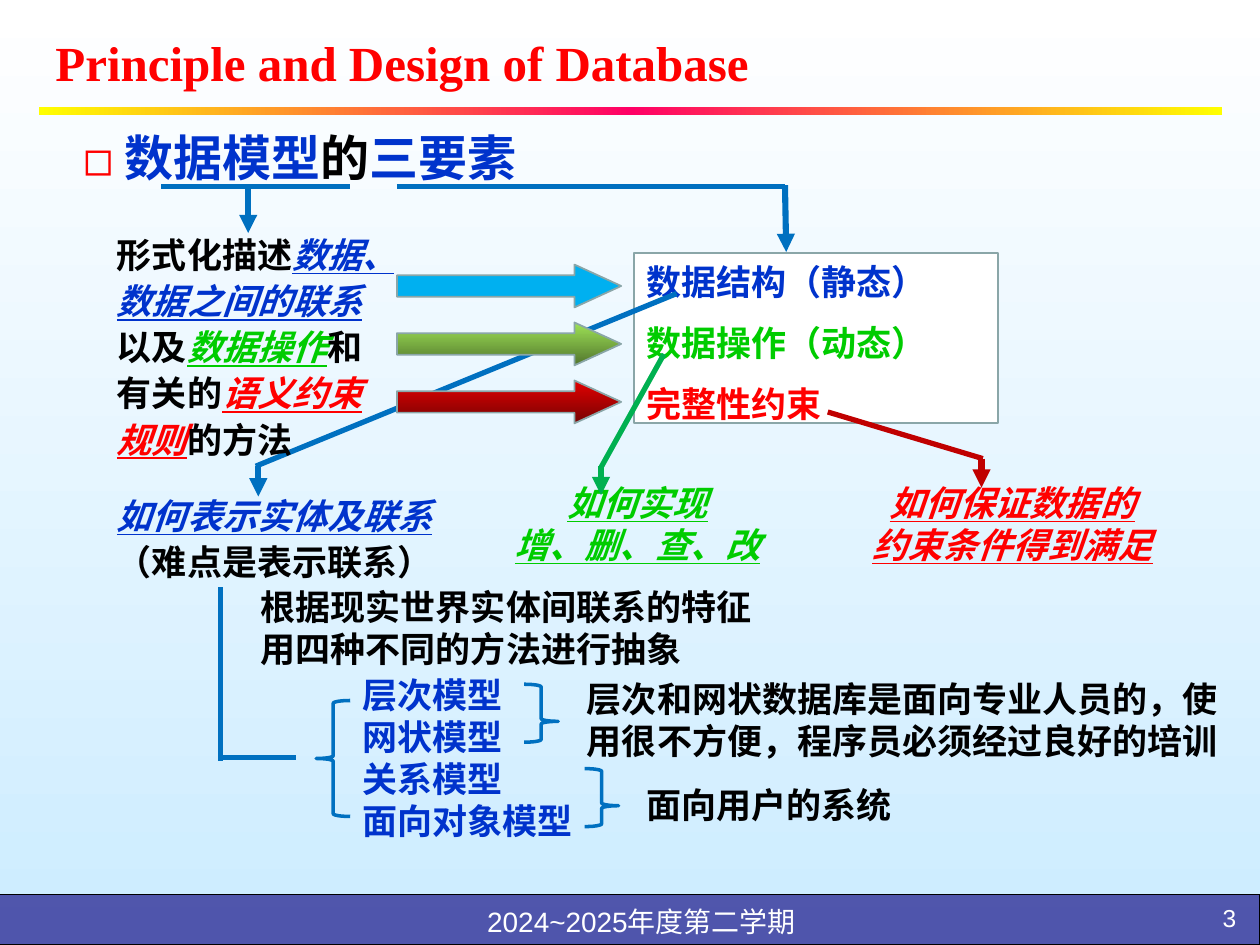
import copy

import pptx
import pptx.dml.color
import pptx.enum.shapes
import pptx.enum.text
import pptx.oxml
import pptx.oxml.ns
import pptx.util

PX = 9144  # 100 px to the inch
CJK = "Noto Sans CJK SC"
COLOURS = {
    "black": "000000", "white": "FFFFFF", "blue": "0033CC", "green": "00CC00",
    "red": "FF0000", "sky": "CCECFF", "navy": "333399", "yellow": "FFFF00",
    "pink": "FF0066", "outline": "8AA6A8", "line blue": "0070C0",
    "line green": "00B050", "line red": "C00000", "cyan": "00B0F0",
    "lime": "9EE256", "olive": "52762D", "scarlet": "E30000", "maroon": "760303",
}
RGB = {name: pptx.dml.color.RGBColor.from_string(c) for name, c in COLOURS.items()}
SHAPE = pptx.enum.shapes.MSO_SHAPE
ALIGN = pptx.enum.text.PP_ALIGN
ANCHOR = pptx.enum.text.MSO_ANCHOR
qn = pptx.oxml.ns.qn

prs = pptx.Presentation()
prs.slide_width, prs.slide_height = 1000 * PX, 750 * PX
s = prs.slides.add_slide(prs.slide_layouts[1])


def write(box, paragraphs, shape=None, size=20, font="Arial", bold=True,
          align=ALIGN.LEFT, spacing=1.0, before=0, anchor=ANCHOR.TOP):
    """Place a shape (a new text box by default) and fill it with (text, colour, emphasis) runs."""
    shape = shape or s.shapes.add_textbox(0, 0, 0, 0)
    shape.left, shape.top, shape.width, shape.height = (v * PX for v in box)
    tf = shape.text_frame
    tf.word_wrap = True
    tf.auto_size = pptx.enum.text.MSO_AUTO_SIZE.NONE
    tf.vertical_anchor = anchor
    for i, runs in enumerate(paragraphs):
        p = tf.add_paragraph() if i else tf.paragraphs[0]
        p.alignment = align
        p.line_spacing = spacing
        p.space_before = pptx.util.Pt(before if i else 0)
        for text, colour, *emphasis in runs:
            r = p.add_run()
            r.text = text
            r.font.size = pptx.util.Pt(size)
            r.font.bold = bold
            r.font.name = font
            r.font.color.rgb = RGB[colour]
            if emphasis:
                r.font.italic = r.font.underline = True
            ea = pptx.oxml.parse_xml(f'<a:ea {pptx.oxml.ns.nsdecls("a")} typeface="{CJK}"/>')
            r.font.fill  # colour is already set, so the font elements come last
            r._r.rPr.find(qn("a:latin")).addnext(ea)
    return shape


def set_gradient(fill, first, last, angle):
    fill.gradient()
    fill.gradient_angle = angle
    for stop, colour, position in zip(fill.gradient_stops, (first, last), (0, 1)):
        stop.color.rgb = RGB[colour]
        stop.position = position


set_gradient(s.background.fill, "white", "sky", 270)

# Title, rule and footer
write((34, 19, 791, 61), [[("Principle and Design of Database", "red")]], s.shapes.title,
      size=28, font="Times New Roman", anchor=ANCHOR.MIDDLE)

rule = s.shapes.add_shape(SHAPE.RECTANGLE, 31 * PX, 85 * PX, 939 * PX, 6 * PX)
rule.shadow.inherit = False
rule.line.fill.background()
set_gradient(rule.fill, "yellow", "yellow", 0)
stops = rule.element.spPr.find(".//" + qn("a:gsLst"))
middle = copy.deepcopy(stops[0])
middle.set("pos", "50000")
middle[0].set("val", COLOURS["pink"])
stops.insert(1, middle)

band = s.shapes.add_shape(SHAPE.RECTANGLE, -1 * PX, 710 * PX, 1001 * PX, 40 * PX)
band.shadow.inherit = False
band.fill.solid()
band.fill.fore_color.rgb = RGB["navy"]
band.element.spPr.find(qn("a:solidFill"))[0].append(
    pptx.oxml.parse_xml(f'<a:alpha {pptx.oxml.ns.nsdecls("a")} val="81000"/>'))
band.line.color.rgb = RGB["black"]
band.line.width = pptx.util.Pt(0.75)
write((346, 708, 326, 42), [[("2024~2025年度第二学期", "white")]],
      size=16, bold=False, align=ALIGN.CENTER, spacing=1.2)
write((894, 712, 97, 30), [[("3", "white")]], size=14, bold=False, align=ALIGN.RIGHT)

# Heading with a square bullet
body = s.placeholders[1]
pPr = body.text_frame.paragraphs[0]._p.get_or_add_pPr()
pPr.set("marL", str(33 * PX))
pPr.set("indent", str(-33 * PX))
for xml in (f'<a:buClr %s><a:srgbClr val="{COLOURS["red"]}"/></a:buClr>',
            f'<a:buFont %s typeface="{CJK}"/>', '<a:buChar %s char="◻"/>'):
    pPr.append(pptx.oxml.parse_xml(xml % pptx.oxml.ns.nsdecls("a")))
write((56, 96, 387, 57), [[("数据模型", "blue"), ("的", "black"), ("三要素", "blue")]],
      body, size=28, font=CJK)

# The three elements
elements = s.shapes.add_shape(SHAPE.RECTANGLE, 0, 0, 0, 0)
elements.shadow.inherit = False
elements.fill.solid()
elements.fill.fore_color.rgb = RGB["white"]
elements.line.color.rgb = RGB["outline"]
elements.line.width = pptx.util.Pt(1)
write((503, 201, 289, 135),
      [[("数据结构（静态）", "blue")], [("数据操作（动态）", "green")], [("完整性约束", "red")]],
      elements, spacing=1.2, before=6, anchor=ANCHOR.MIDDLE)

write((384, 377, 244, 77), [[("如何实现", "green", True)], [("增、删、查、改", "green", True)]],
      align=ALIGN.CENTER)
write((669, 377, 269, 77), [[("如何保证数据的", "red", True)], [("约束条件得到满足", "red", True)]],
      align=ALIGN.CENTER)

# Lines; those with a head are slightly heavier
for x1, y1, x2, y2, colour, head in (
        (203, 370, 537, 233, "line blue", False),
        (128, 148, 278, 148, "line blue", False),
        (315, 148, 623, 148, "line blue", False),
        (197, 147, 197, 185, "line blue", True),
        (623, 147, 624, 200, "line blue", True),
        (175, 601, 235, 601, "line blue", False),
        (175, 466, 175, 604, "line blue", False),
        (205, 370, 205, 394, "line blue", True),
        (477, 371, 527, 281, "line green", False),
        (477, 370, 477, 393, "line green", True),
        (780, 364, 657, 327, "line red", False),
        (779, 364, 779, 387, "line red", True)):
    line = s.shapes.add_connector(pptx.enum.shapes.MSO_CONNECTOR.STRAIGHT,
                                  x1 * PX, y1 * PX, x2 * PX, y2 * PX)
    line.line.color.rgb = RGB[colour]
    line.line.width = pptx.util.Pt(3.5 if head else 3)
    spPr = line.element.spPr
    spPr.append(pptx.oxml.parse_xml(f'<a:effectLst {pptx.oxml.ns.nsdecls("a")}/>'))
    if head:
        spPr.find(qn("a:ln")).append(
            pptx.oxml.parse_xml(f'<a:tailEnd {pptx.oxml.ns.nsdecls("a")} type="triangle"/>'))

# Block arrows from the definition to the elements
for i, (top, bottom) in enumerate((("cyan", "cyan"), ("lime", "olive"), ("scarlet", "maroon"))):
    arrow = s.shapes.add_shape(SHAPE.RIGHT_ARROW, 315 * PX, (210 + 46 * i) * PX, 178 * PX, 34 * PX)
    arrow.adjustments[0], arrow.adjustments[1] = 0.5, 1.09
    arrow.shadow.inherit = False
    if top == bottom:
        arrow.fill.solid()
        arrow.fill.fore_color.rgb = RGB[top]
    else:
        set_gradient(arrow.fill, top, bottom, 270)
    arrow.line.color.rgb = RGB["outline"]
    arrow.line.width = pptx.util.Pt(1)

# Braces around the list of models
for x, y, h, rotation, point in ((251, 556, 92, 0, 0.5), (416, 543, 46, 180, 0.36),
                                 (464, 610, 46, 180, 0.36)):
    brace = s.shapes.add_shape(SHAPE.LEFT_BRACE, x * PX, y * PX, 27 * PX, h * PX)
    brace.adjustments[0], brace.adjustments[1] = 0.08, point
    brace.rotation = rotation
    brace.shadow.inherit = False
    brace.fill.background()
    brace.line.color.rgb = RGB["line blue"]
    brace.line.width = pptx.util.Pt(2)

# Explanations
write((83, 177, 240, 193),
      [[("形式化描述", "black"), ("数据、数据之间的联系", "blue", True), ("以及", "black"),
        ("数据操作", "green", True), ("和有关的", "black"), ("语义约束规则", "red", True),
        ("的方法", "black")]], spacing=1.1)
write((83, 384, 276, 83),
      [[("如何表示实体及联系", "blue", True), ("（难点是表示联系）", "black")]], spacing=1.1)
write((278, 534, 289, 135),
      [[(model, "blue")] for model in ("层次模型", "网状模型", "关系模型", "面向对象模型")],
      anchor=ANCHOR.MIDDLE)
for box, text in (
        ((197, 460, 431, 77), "根据现实世界实体间联系的特征用四种不同的方法进行抽象"),
        ((456, 533, 525, 77), "层次和网状数据库是面向专业人员的，使用很不方便，程序员必须经过良好的培训"),
        ((503, 617, 262, 43), "面向用户的系统")):
    write(box, [[(text, "black")]], font=CJK)

prs.save("out.pptx")
